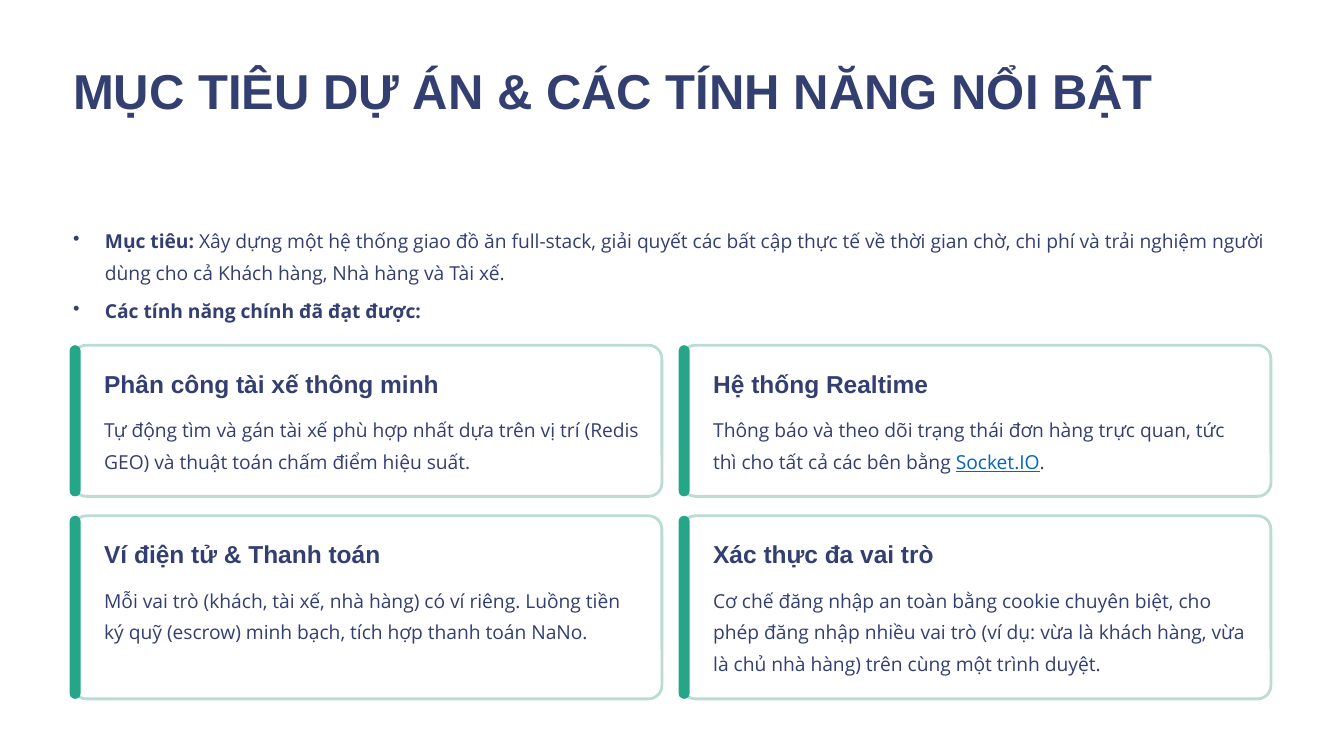
import pptx
import pptx.util
import pptx.dml.color
import pptx.enum.shapes
import pptx.oxml.ns
import lxml.etree

Inches, Pt = pptx.util.Inches, pptx.util.Pt
NAVY, GREEN, MINT, WHITE, LINK_BLUE = "333F70", "26A688", "BCDBD4", "FFFFFF", "0563C1"
HEADING, BODY = "Arial", "Open Sans"

SLIDE_WIDTH, SLIDE_HEIGHT = 16, 9
MARGIN = 0.87
CONTENT_WIDTH = SLIDE_WIDTH - 2 * MARGIN
COLUMN_GAP = 0.24
CARD_WIDTH = (CONTENT_WIDTH - COLUMN_GAP) / 2
CARD_ROWS = [(4.11, 1.8), (6.14, 2.18)]  # top, height
CORNER = 0.16

TITLE = "MỤC TIÊU DỰ ÁN & CÁC TÍNH NĂNG NỔI BẬT"
GOALS = [
    [("Mục tiêu:", {"bold": True}),
     (" Xây dựng một hệ thống giao đồ ăn full-stack, giải quyết các bất cập thực tế về "
      "thời gian chờ, chi phí và trải nghiệm người dùng cho cả Khách hàng, Nhà hàng và Tài xế.", {})],
    [("Các tính năng chính đã đạt được:", {"bold": True})],
]
FEATURES = [
    ("Phân công tài xế thông minh",
     [("Tự động tìm và gán tài xế phù hợp nhất dựa trên vị trí (Redis GEO) và thuật toán "
       "chấm điểm hiệu suất.", {})]),
    ("Hệ thống Realtime",
     [("Thông báo và theo dõi trạng thái đơn hàng trực quan, tức thì cho tất cả các bên bằng ", {}),
      ("Socket.IO", {"color": LINK_BLUE, "underline": True}),
      (".", {})]),
    ("Ví điện tử & Thanh toán",
     [("Mỗi vai trò (khách, tài xế, nhà hàng) có ví riêng. Luồng tiền ký quỹ (escrow) "
       "minh bạch, tích hợp thanh toán NaNo.", {})]),
    ("Xác thực đa vai trò",
     [("Cơ chế đăng nhập an toàn bằng cookie chuyên biệt, cho phép đăng nhập nhiều vai trò "
       "(ví dụ: vừa là khách hàng, vừa là chủ nhà hàng) trên cùng một trình duyệt.", {})]),
]


def rgb(value):
    return pptx.dml.color.RGBColor.from_string(value)


def add_bullet(paragraph):
    properties = paragraph._p.get_or_add_pPr()
    properties.set("marL", str(Inches(0.38)))
    properties.set("indent", str(-Inches(0.38)))
    bullet = lxml.etree.SubElement(properties, pptx.oxml.ns.qn("a:buChar"))
    bullet.set("char", "•")


def add_text(slide, box, paragraphs, font, size, leading, bold=False, bulleted=False):
    """Each paragraph is a list of (text, style) pieces; style overrides bold, color, underline."""
    frame = slide.shapes.add_textbox(*map(Inches, box)).text_frame
    frame.word_wrap = True
    frame.margin_left = frame.margin_right = frame.margin_top = frame.margin_bottom = 0
    for index, pieces in enumerate(paragraphs):
        paragraph = frame.add_paragraph() if index else frame.paragraphs[0]
        if bulleted:
            add_bullet(paragraph)
        paragraph.line_spacing = Pt(leading)
        if index:
            paragraph.space_before = Pt(6)
        for text, style in pieces:
            run = paragraph.add_run()
            run.text = text
            run.font.name = font
            run.font.size = Pt(size)
            run.font.bold = style.get("bold", bold)
            run.font.underline = style.get("underline", False)
            run.font.color.rgb = rgb(style.get("color", NAVY))


def add_panel(slide, box, radius, fill, outline=None):
    panel = slide.shapes.add_shape(
        pptx.enum.shapes.MSO_SHAPE.ROUNDED_RECTANGLE, *map(Inches, box))
    panel.adjustments[0] = radius / min(box[2:])
    panel.shadow.inherit = False
    panel.fill.solid()
    panel.fill.fore_color.rgb = rgb(fill)
    if outline:
        panel.line.color.rgb = rgb(outline)
        panel.line.width = Pt(2.4)
    else:
        panel.line.fill.background()


def add_header(slide, left, top, width):
    add_text(slide, (left, top, width, 1.47), [[(TITLE, {})]], HEADING, 42, 53, bold=True)


def add_goals(slide, left, top, width):
    add_text(slide, (left, top, width, 1.21), GOALS, BODY, 16.5, 27, bulleted=True)


def add_feature_card(slide, left, top, width, height, heading, description):
    add_panel(slide, (left, top, width, height), CORNER, WHITE, MINT)
    add_panel(slide, (left - 0.04, top, 0.13, height), 0.065, GREEN)
    text_left, text_width = left + 0.37, width - 0.63
    add_text(slide, (text_left, top + 0.26, text_width, 0.37), [[(heading, {})]],
             HEADING, 21, 26.5, bold=True)
    add_text(slide, (text_left, top + 0.77, text_width, height - 1.05), [description],
             BODY, 16.5, 27)


def main():
    deck = pptx.Presentation()
    deck.slide_width, deck.slide_height = Inches(SLIDE_WIDTH), Inches(SLIDE_HEIGHT)
    slide = deck.slides.add_slide(deck.slide_layouts[6])
    add_header(slide, MARGIN, 0.68, CONTENT_WIDTH)
    add_goals(slide, MARGIN, 2.63, CONTENT_WIDTH)
    for index, (heading, description) in enumerate(FEATURES):
        row, column = divmod(index, 2)
        top, height = CARD_ROWS[row]
        left = MARGIN + column * (CARD_WIDTH + COLUMN_GAP)
        add_feature_card(slide, left, top, CARD_WIDTH, height, heading, description)
    deck.save("out.pptx")


if __name__ == "__main__":
    main()
